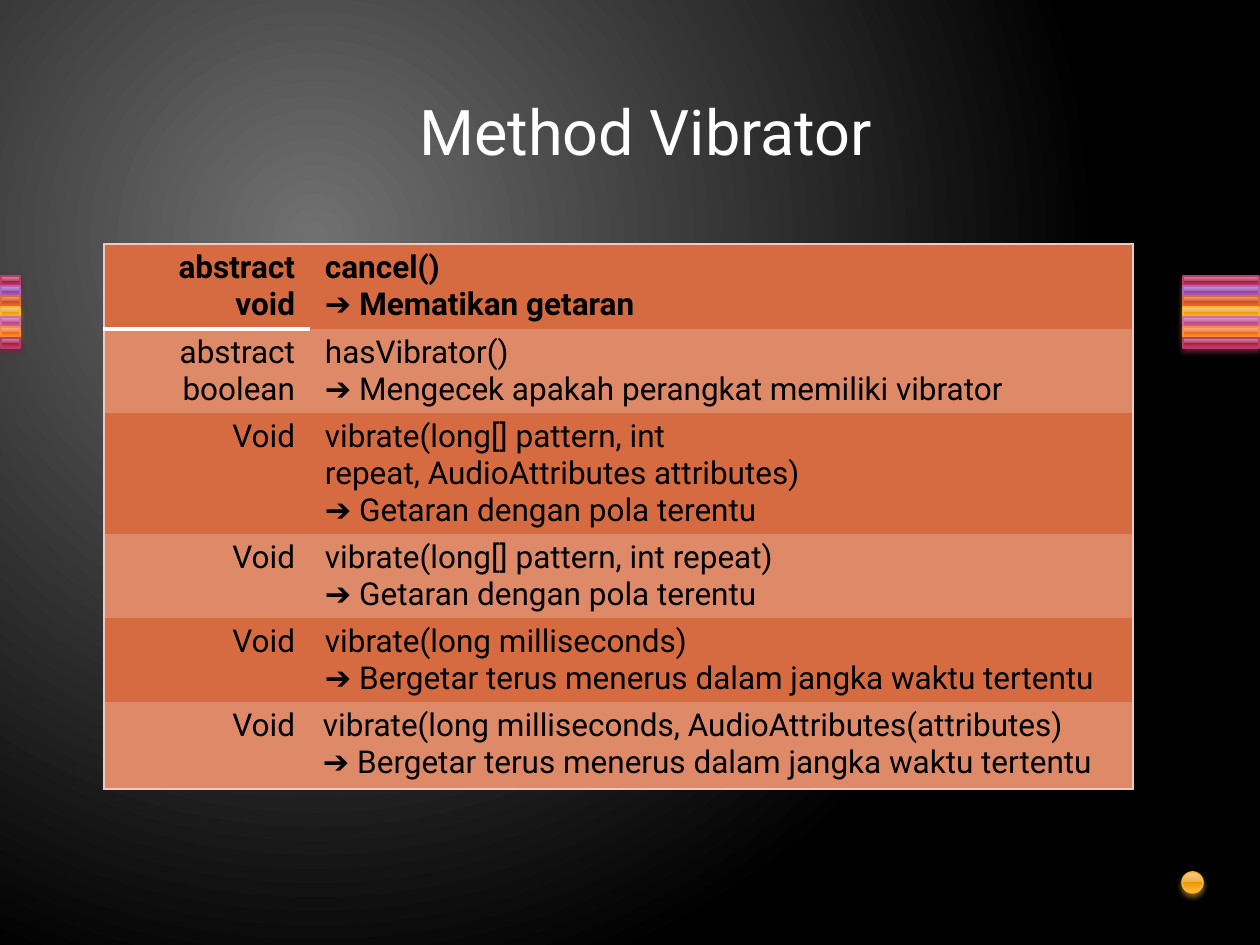
"""Builds the Method Vibrator slide."""
from typing import NamedTuple

from pptx import Presentation
from pptx.dml.color import RGBColor
from pptx.enum.shapes import MSO_SHAPE
from pptx.enum.text import MSO_ANCHOR, MSO_AUTO_SIZE, PP_ALIGN
from pptx.oxml import parse_xml
from pptx.oxml.ns import nsdecls, qn
from pptx.util import Emu, Pt

PX_PER_INCH = 126
FONT = "Roboto"
NO_BREAK = chr(160)
NO_STYLE = "{2D5ABB26-0587-4C30-8999-92F81FD0307C}"

WHITE = RGBColor(0xFF, 0xFF, 0xFF)
BLACK = RGBColor(0x00, 0x00, 0x00)
GRAY = RGBColor(0x70, 0x70, 0x70)
RUST = RGBColor(0xD6, 0x6B, 0x42)
LIGHT_RUST = RGBColor(0xDE, 0x89, 0x68)
FRAME = RGBColor(0xEF, 0xC8, 0xBF)


class Gloss(NamedTuple):
    """Gradient, outline and shadow colours of a glossy shape."""
    stops: list
    line: RGBColor
    shadow: RGBColor


def gloss(stops, line, shadow):
    """Return a Gloss from hexadecimal colours."""
    colors = [RGBColor.from_string(color) for color in stops.split()]
    return Gloss(list(zip((0, 49, 49, 92, 100), colors)),
                 RGBColor.from_string(line), RGBColor.from_string(shadow))


CRIMSON = gloss("CE94A2 B34869 A61749 C13764 CA5D7C", "B83D68", "722640")
PURPLE = gloss("C6A2D0 A666B4 8F3EA1 AD5DBF BA76CA", "AC66BB", "6A3F73")
RED = gloss("E7A493 D66B42 CC4809 E9642C F07B55", "DE6C36", "894321")
AMBER = gloss("FBCC93 EFAE43 E59807 FFB432 FFBE5F", "F9B639", "9A7023")
PINK = gloss("DDA4C1 C66B9D B34181 D361A0 DC79AE", "CF6DA4", "804365")
ORANGE = gloss("FBB494 F08745 E5670B FF8736 FF9961", "FA8D3D", "9A5726")
BARS = [CRIMSON, PURPLE, RED, AMBER, PINK, ORANGE, CRIMSON]

COLUMN_WIDTHS = [206, 823]
ROWS = [
    (85, "abstract void", "cancel()\v➔ Mematikan getaran"),
    (84, "abstract boolean", "hasVibrator()\n➔ Mengecek apakah perangkat memiliki vibrator"),
    (121, "Void", f"vibrate(long[] pattern, int repeat,{NO_BREAK}AudioAttributes{NO_BREAK}attributes)\n"
                  "➔ Getaran dengan pola terentu"),
    (84, "Void", "vibrate(long[] pattern, int repeat)\n➔ Getaran dengan pola terentu"),
    (84, "Void", "vibrate(long milliseconds)\n"
                 "➔ Bergetar terus menerus dalam jangka waktu tertentu"),
    (87, "Void", f"vibrate(long milliseconds,{NO_BREAK}AudioAttributes(attributes)\n"
                 "➔ Bergetar terus menerus dalam jangka waktu tertentu"),
]


def px(length):
    """Convert pixels to EMU."""
    return Emu(round(length * 914400 / PX_PER_INCH))


def gradient_xml(stops, direction):
    """Return the XML of a gradient fill."""
    items = "".join(f'<a:gs pos="{place * 1000}"><a:srgbClr val="{color}"/></a:gs>'
                    for place, color in stops)
    return (f'<a:gradFill {nsdecls("a")} rotWithShape="1"><a:gsLst>{items}</a:gsLst>'
            f'{direction}</a:gradFill>')


def set_background(slide):
    """Fill the background with a circular glow at the upper left."""
    glow = gradient_xml([(0, GRAY), (100, BLACK)],
                        '<a:path path="circle"><a:fillToRect l="50000" t="50000" '
                        'r="100000" b="100000"/></a:path>')
    background = parse_xml(f'<p:bg {nsdecls("p", "a")}><p:bgPr>{glow}<a:effectLst/>'
                           '</p:bgPr></p:bg>')
    slide.element.cSld.insert(0, background)


def add_glossy(shapes, kind, left, top, width, height, colors):
    """Add a shape with a glossy gradient and a soft shadow."""
    shape = shapes.add_shape(kind, px(left), px(top), px(width), px(height))
    shape.line.color.rgb = colors.line
    shape.line.width = Pt(0.9)
    shape.shadow.inherit = False
    properties = shape.element.spPr
    fill = gradient_xml(colors.stops, '<a:lin ang="5400000" scaled="0"/>')
    properties.find(qn("a:ln")).addprevious(parse_xml(fill))
    properties.find(qn("a:effectLst")).append(parse_xml(
        f'<a:outerShdw {nsdecls("a")} blurRad="{Pt(3.1)}" dist="{Pt(2)}" dir="5400000" '
        f'rotWithShape="0"><a:srgbClr val="{colors.shadow}"><a:alpha val="83000"/>'
        '</a:srgbClr></a:outerShdw>'))


def add_bars(slide, left, width):
    """Add a group of evenly stacked coloured bars."""
    group = slide.shapes.add_group_shape()
    for index, colors in enumerate(BARS):
        add_glossy(group.shapes, MSO_SHAPE.RECTANGLE, left, 276 + index * 31 // 3,
                   width, 10, colors)


def format_title(slide):
    """Place and fill the title."""
    title = slide.shapes.title
    title.left, title.top, title.width, title.height = px(123), px(16), px(1061), px(158)
    frame = title.text_frame
    frame.text = "Method Vibrator "
    frame.auto_size = MSO_AUTO_SIZE.NONE
    frame.vertical_anchor = MSO_ANCHOR.BOTTOM
    paragraph = frame.paragraphs[0]
    paragraph.alignment = PP_ALIGN.CENTER
    paragraph.font.name = FONT
    paragraph.font.size = Pt(36)
    paragraph.font.color.rgb = WHITE


def add_border(cell, side, color, width):
    """Draw one border of a cell."""
    cell._tc.get_or_add_tcPr().append(parse_xml(
        f'<a:ln{side} {nsdecls("a")} w="{Pt(width)}"><a:solidFill>'
        f'<a:srgbClr val="{color}"/></a:solidFill></a:ln{side}>'))


def fill_cell(cell, text, alignment, bold, color):
    """Write and format one cell."""
    cell.text = text
    cell.margin_left = cell.margin_right = px(15)
    cell.margin_top = cell.margin_bottom = px(5)
    cell.fill.solid()
    cell.fill.fore_color.rgb = color
    for paragraph in cell.text_frame.paragraphs:
        paragraph.alignment = alignment
        paragraph.font.name = FONT
        paragraph.font.size = Pt(18)
        paragraph.font.bold = bold
        paragraph.font.color.rgb = BLACK


def add_method_table(slide):
    """Add the table of return types and methods."""
    heights = [row[0] for row in ROWS]
    table = slide.shapes.add_table(len(ROWS), 2, px(104), px(244),
                                   px(sum(COLUMN_WIDTHS)), px(sum(heights))).table
    table.horz_banding = False
    table._tbl.tblPr.find(qn("a:tableStyleId")).text = NO_STYLE
    for column, width in zip(table.columns, COLUMN_WIDTHS):
        column.width = px(width)
    last = len(ROWS) - 1
    for index, (height, result, method) in enumerate(ROWS):
        table.rows[index].height = px(height)
        color = LIGHT_RUST if index % 2 else RUST
        result_cell, method_cell = table.cell(index, 0), table.cell(index, 1)
        add_border(result_cell, "L", FRAME, 0.9)
        add_border(method_cell, "R", FRAME, 0.9)
        for cell in (result_cell, method_cell):
            if index == 0:
                add_border(cell, "T", FRAME, 0.9)
            if index == last:
                add_border(cell, "B", FRAME, 0.9)
        if index == 0:
            add_border(result_cell, "B", WHITE, 2.5)
        fill_cell(result_cell, result, PP_ALIGN.RIGHT, index == 0, color)
        fill_cell(method_cell, method, PP_ALIGN.LEFT, index == 0, color)
    table.cell(last, 1).margin_left = px(13)


def main():
    """Build and save the presentation."""
    presentation = Presentation()
    presentation.slide_width, presentation.slide_height = px(1260), px(945)
    slide = presentation.slides.add_slide(presentation.slide_layouts[5])
    set_background(slide)
    add_bars(slide, 1, 19)
    add_bars(slide, 1183, 76)
    add_glossy(slide.shapes, MSO_SHAPE.OVAL, 1182, 872, 21, 21, AMBER)
    format_title(slide)
    add_method_table(slide)
    presentation.save("out.pptx")


if __name__ == "__main__":
    main()
